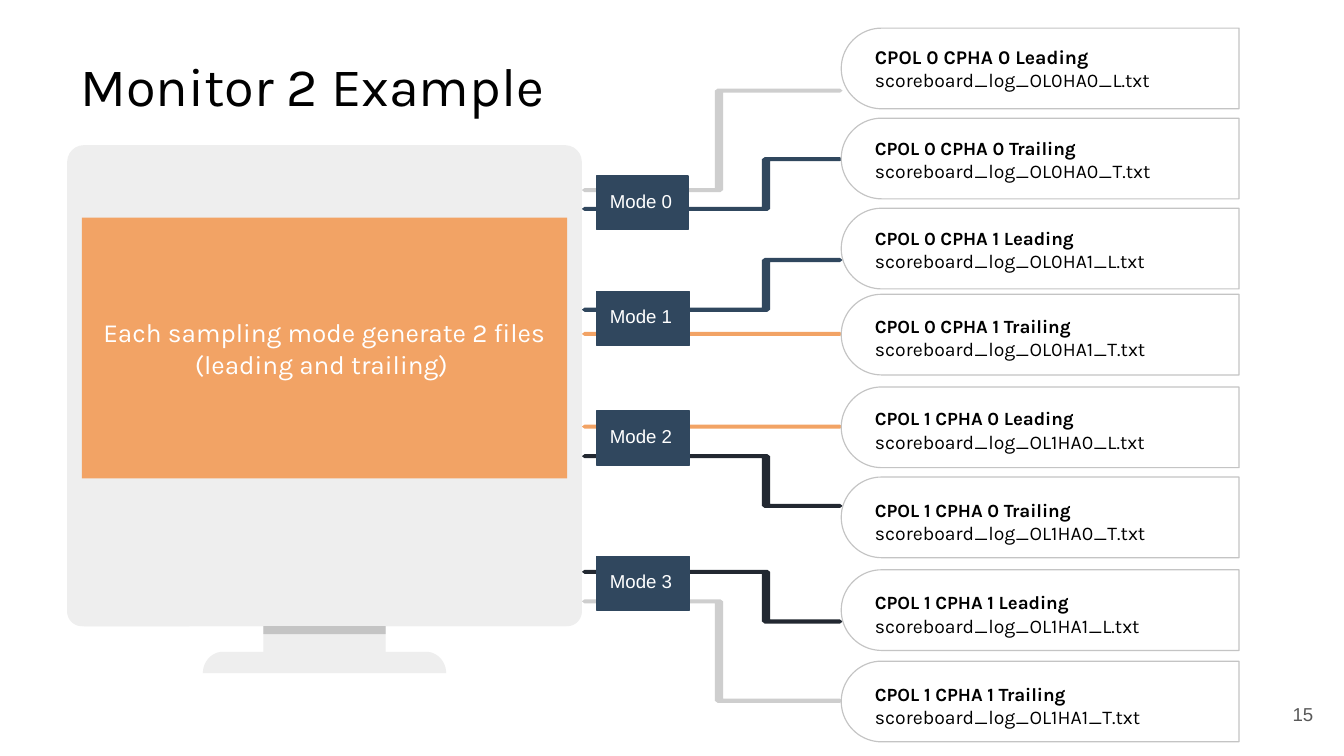
"""Build the Monitor 2 slide: a monitor feeding eight scoreboard files through four modes."""
from dataclasses import dataclass
from math import cos, radians, sin
from typing import Optional

from pptx import Presentation
from pptx.dml.color import RGBColor
from pptx.enum.shapes import MSO_SHAPE
from pptx.enum.text import MSO_ANCHOR, PP_ALIGN
from pptx.util import Inches, Pt

CELL = Inches(0.1)
COLS, ROWS = 100, 56.25
COLORS = {
    "white": "FFFFFF", "black": "000000", "navy": "30475E", "ink": "222831",
    "orange": "F2A365", "silver": "CECECE", "screen": "EEEEEE",
    "edge": "C4C4C4", "number": "595959",
}
PIPE_LEFT, PIPE_RIGHT = 43.3, 62.7
CARD_LEFT, CARD_RIGHT, CARD_ROWS = 62.6, 92.2, 6


@dataclass(frozen=True)
class Run:
    text: str
    size: float
    color: str = "black"
    font: str = "Karla"
    bold: bool = False


@dataclass(frozen=True)
class Output:
    card_row: float
    text_row: float
    start_row: float
    end_row: float
    color: str
    elbow: Optional[float] = None
    title_size: float = 10


@dataclass(frozen=True)
class Mode:
    row: float
    cols: float = 6.9


OUTPUTS = [
    Output(2.1, 3.1, 14.15, 6.75, "silver", 53.5, 10.4),
    Output(8.8, 9.9, 15.55, 11.85, "navy", 57),
    Output(15.5, 16.6, 23.05, 19.35, "navy", 57),
    Output(21.9, 23.1, 24.85, 24.85, "orange"),
    Output(28.8, 30, 31.75, 31.75, "orange"),
    Output(35.5, 36.8, 33.95, 37.65, "ink", 57),
    Output(42.4, 43.7, 42.55, 46.25, "ink", 57),
    Output(49.2, 50.5, 44.75, 52.15, "silver", 53.5),
]
MODES = [Mode(13.1, 6.8), Mode(21.7), Mode(30.6), Mode(41.4)]


def grid(n: float) -> int:
    return round(n * CELL)


def rgb(name: str) -> RGBColor:
    return RGBColor.from_string(COLORS[name])


def paint(sp, fill: str, line: Optional[str] = None, width: float = 0.75) -> None:
    sp.shadow.inherit = False
    sp.fill.solid()
    sp.fill.fore_color.rgb = rgb(fill)
    if line:
        sp.line.color.rgb = rgb(line)
        sp.line.width = Pt(width)
    else:
        sp.line.fill.background()


def add_block(s, kind, x, y, w, h, fill: str, line: Optional[str] = None):
    sp = s.shapes.add_shape(kind, grid(x), grid(y), grid(w), grid(h))
    paint(sp, fill, line)
    return sp


def add_outline(s, points, fill: str, line: Optional[str] = None, width: float = 0.75):
    first, *rest = [(grid(x), grid(y)) for x, y in points]
    builder = s.shapes.build_freeform(*first, scale=1.0)
    builder.add_line_segments(rest, close=True)
    sp = builder.convert_to_shape()
    paint(sp, fill, line, width)
    return sp


def arc(cx: float, cy: float, rx: float, ry: float, start: int, end: int) -> list:
    steps = abs(end - start) // 5
    angles = [radians(start + (end - start) * i / steps) for i in range(steps + 1)]
    return [(cx + rx * cos(a), cy + ry * sin(a)) for a in angles]


def write(sp, lines: list[Run], align=PP_ALIGN.LEFT, anchor=MSO_ANCHOR.MIDDLE,
          inset: float = 1) -> None:
    tf = sp.text_frame
    tf.word_wrap = True
    tf.vertical_anchor = anchor
    tf.margin_left = tf.margin_right = tf.margin_top = tf.margin_bottom = grid(inset)
    for i, line in enumerate(lines):
        p = tf.paragraphs[0] if i == 0 else tf.add_paragraph()
        p.alignment = align
        r = p.add_run()
        r.text = line.text
        r.font.size = Pt(line.size)
        r.font.name = line.font
        r.font.bold = line.bold
        r.font.color.rgb = rgb(line.color)


def add_text(s, x, y, w, h, lines: list[Run], align=PP_ALIGN.LEFT, inset: float = 1) -> None:
    sp = s.shapes.add_textbox(grid(x), grid(y), grid(w), grid(h))
    write(sp, lines, align, inset=inset)


def add_pipe(s, out: Output) -> None:
    half, riser, cut = 0.15, 0.3, 0.2
    a, b = out.start_row, out.end_row
    t = half if b >= a else -half
    left, right = PIPE_LEFT + cut, PIPE_RIGHT - cut
    upper, lower = [], []
    if out.elbow is not None:
        far, near = out.elbow + riser, out.elbow - riser
        upper = [(far - cut, a - t), (far, a), (far, b - t)]
        lower = [(near + cut, b + t), (near, b), (near, a + t)]
    points = [(PIPE_LEFT, a), (left, a - t), *upper, (right, b - t),
              (PIPE_RIGHT, b), (right, b + t), *lower, (left, a + t)]
    add_outline(s, points, out.color)


def add_card(s, index: int, out: Output) -> None:
    radius = CARD_ROWS / 2
    top, bottom = out.card_row, out.card_row + CARD_ROWS
    bow = arc(CARD_LEFT + radius, top + radius, radius, radius, 270, 90)
    add_outline(s, [*bow, (CARD_RIGHT, bottom), (CARD_RIGHT, top)], "white", "edge", 0.63)
    cpol, cpha = divmod(index // 2, 2)
    edge = ("Leading", "Trailing")[index % 2]
    add_text(s, 64.3, out.text_row, 22.9, 4, [
        Run(f"CPOL {cpol} CPHA {cpha} {edge}", out.title_size, bold=True),
        Run(f"scoreboard_log_OL{cpol}HA{cpha}_{edge[0]}.txt", 10.4),
    ], inset=0.8)


def add_monitor(s) -> None:
    case = add_block(s, MSO_SHAPE.ROUNDED_RECTANGLE, 5, 10.8, 38.3, 35.8, "screen")
    case.adjustments[0] = 0.035
    chin = [(5, 41.6), (43.3, 41.6), *arc(42.2, 45.5, 1.1, 1.1, 0, 90),
            *arc(6.1, 45.5, 1.1, 1.1, 90, 180)]
    add_outline(s, chin, "screen")
    add_block(s, MSO_SHAPE.RECTANGLE, 19.6, 46.6, 9.1, 1.9, "screen")
    foot = [*arc(16.6, 50.1, 1.5, 1.6, 180, 270), *arc(31.7, 50.1, 1.5, 1.6, 270, 360)]
    add_outline(s, foot, "screen")
    add_block(s, MSO_SHAPE.RECTANGLE, 19.6, 46.6, 9.1, 0.6, "edge")
    panel = add_block(s, MSO_SHAPE.RECTANGLE, 6.1, 16.2, 36.1, 19.4, "orange")
    write(panel, [Run("Each sampling mode generate 2 files", 14, "white"),
                  Run("(leading and trailing) ", 14, "white")], PP_ALIGN.CENTER)


def add_mode(s, index: int, mode: Mode) -> None:
    sp = add_block(s, MSO_SHAPE.RECTANGLE, 44.4, mode.row, mode.cols, 4, "navy", "navy")
    write(sp, [Run(f"Mode {index}", 10, "white", "Arial")], anchor=MSO_ANCHOR.TOP)


def main() -> None:
    prs = Presentation()
    prs.slide_width, prs.slide_height = grid(COLS), grid(ROWS)
    s = prs.slides.add_slide(prs.slide_layouts[6])
    for out in OUTPUTS:
        add_pipe(s, out)
    add_monitor(s)
    add_text(s, 5, 3.8, 37.2, 5, [Run("Monitor 2 Example", 29)])
    for i, out in enumerate(OUTPUTS):
        add_card(s, i, out)
    for i, mode in enumerate(MODES):
        add_mode(s, i, mode)
    add_text(s, 92.7, 51, 6, 4.3, [Run("15", 10, "number", "Arial")], PP_ALIGN.RIGHT)
    prs.save("out.pptx")


if __name__ == "__main__":
    main()
